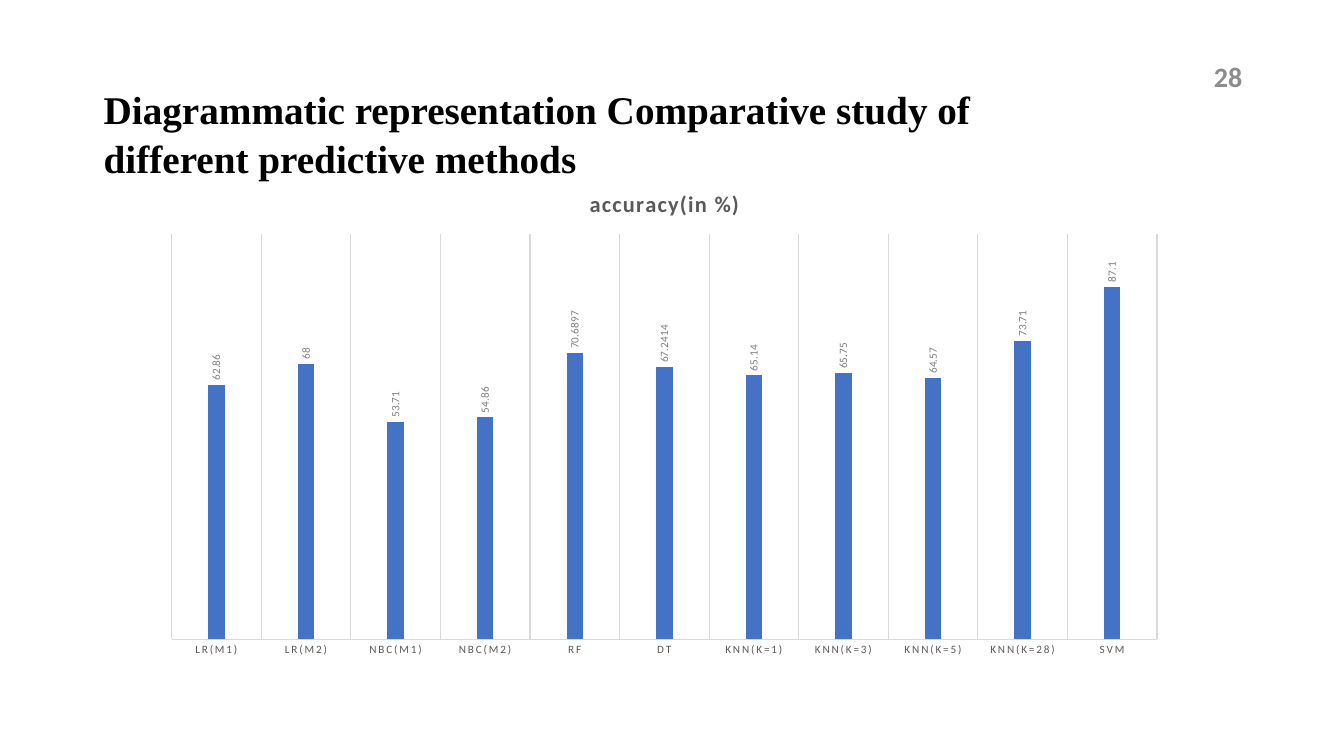
from dataclasses import dataclass

from lxml.etree import SubElement
from pptx import Presentation
from pptx.chart.data import CategoryChartData
from pptx.dml.color import RGBColor
from pptx.enum.chart import XL_CHART_TYPE as ChartType, XL_LABEL_POSITION as LabelPos
from pptx.enum.chart import XL_TICK_MARK as TickMark
from pptx.enum.text import MSO_ANCHOR as Anchor, MSO_AUTO_SIZE as AutoSize, PP_ALIGN as Align
from pptx.oxml.ns import qn
from pptx.util import Inches, Pt

WIDTH, HEIGHT = Inches(13.33), Inches(7.5)
SANS, SERIF = "Calibri", "Times New Roman"
BLACK, DARK, MID, PALE, RULE, BLUE = "000000", "595959", "808080", "8C8C8C", "D9D9D9", "4472C4"

SERIES_NAME = "accuracy(in %)"
ACCURACY = {
    "LR(M1)": 62.86, "LR(M2)": 68, "NBC(M1)": 53.71, "NBC(M2)": 54.86,
    "RF": 70.6897, "DT": 67.2414, "KNN(K=1)": 65.14, "KNN(K=3)": 65.75,
    "KNN(K=5)": 64.57, "KNN(K=28)": 73.71, "SVM": 87.1,
}


@dataclass
class Box:
    """Left, top, width and height as percentages of the slide."""
    x: float
    y: float
    w: float
    h: float

    def emu(self) -> list[int]:
        sides = ((self.x, WIDTH), (self.y, HEIGHT), (self.w, WIDTH), (self.h, HEIGHT))
        return [round(share * side / 100) for share, side in sides]


@dataclass
class Label:
    text: str
    box: Box
    size: int
    font: str
    color: str
    align: Align = Align.LEFT
    anchor: Anchor = Anchor.TOP
    fit: AutoSize = AutoSize.NONE
    spacing: float = 1.0


LABELS = [
    Label("Diagrammatic representation Comparative study of different predictive methods",
          Box(6.98, 10.27, 71.42, 13.87), 28, SERIF, BLACK,
          fit=AutoSize.SHAPE_TO_FIT_TEXT, spacing=1.05),
    Label("28", Box(70.67, 7.2, 22.51, 5.73), 20, SANS, PALE, Align.RIGHT, Anchor.MIDDLE),
]
CHART_BOX = Box(11.25, 22.4, 76.37, 66.13)
PLOT_SHARES = {"x": 0.02, "y": 0.13, "w": 0.96, "h": 0.81}


def rgb(color: str) -> RGBColor:
    return RGBColor.from_string(color)


def style_font(font, size: int, color: str, name: str = SANS, bold: bool = False) -> None:
    font.size, font.name, font.bold = Pt(size), name, bold
    font.color.rgb = rgb(color)


def style_line(line) -> None:
    line.color.rgb = rgb(RULE)
    line.width = Pt(0.75)


def add_label(slide, label: Label) -> None:
    s = slide.shapes.add_textbox(*label.box.emu())
    tf = s.text_frame
    tf.word_wrap = True
    tf.auto_size = label.fit
    tf.vertical_anchor = label.anchor
    p = tf.paragraphs[0]
    p.alignment = label.align
    p.line_spacing = label.spacing
    r = p.add_run()
    r.text = label.text
    style_font(r.font, label.size, label.color, label.font, bold=True)


def place_plot(chart) -> None:
    """Fix the inner plot area as shares of the chart."""
    area = chart.plots[0]._element.getparent()
    layout = area.find(qn("c:layout"))
    if layout is None:
        layout = SubElement(area, qn("c:layout"))
        area.insert(0, layout)
    manual = SubElement(layout, qn("c:manualLayout"))
    settings = {"layoutTarget": "inner", "xMode": "edge", "yMode": "edge", **PLOT_SHARES}
    for tag, value in settings.items():
        SubElement(manual, qn(f"c:{tag}")).set("val", str(value))


def add_accuracy_chart(slide) -> None:
    data = CategoryChartData()
    data.categories = list(ACCURACY)
    data.add_series(SERIES_NAME, list(ACCURACY.values()))
    chart = slide.shapes.add_chart(ChartType.COLUMN_CLUSTERED, *CHART_BOX.emu(), data).chart
    chart.has_legend = False
    style_font(chart.font, 10, BLACK)

    # Chart title
    chart.has_title = True
    p = chart.chart_title.text_frame.paragraphs[0]
    r = p.add_run()
    r.text = SERIES_NAME
    style_font(r.font, 16, DARK, bold=True)
    r.font._element.set("spc", "100")
    chart.chart_title.include_in_layout = False

    # Axes
    cat = chart.category_axis
    cat.major_tick_mark = cat.minor_tick_mark = TickMark.NONE
    cat.has_major_gridlines = True
    style_line(cat.major_gridlines.format.line)
    style_line(cat.format.line)
    style_font(cat.tick_labels.font, 8, DARK)
    cat.tick_labels.font._element.set("spc", "120")
    val = chart.value_axis
    val.minimum_scale, val.maximum_scale = 0, 100
    val.has_major_gridlines = False
    val.visible = False

    # Columns and their upright values
    plot = chart.plots[0]
    plot.gap_width, plot.overlap = 444, -90
    plot.vary_by_categories = False
    series = plot.series[0]
    series.format.fill.solid()
    series.format.fill.fore_color.rgb = rgb(BLUE)
    labels = series.data_labels
    labels.show_value = True
    labels.position = LabelPos.OUTSIDE_END
    style_font(labels.font, 8, MID)
    body = labels._element.find(qn("c:txPr")).find(qn("a:bodyPr"))
    body.set("rot", "-5400000")
    body.set("vert", "horz")
    place_plot(chart)


def main() -> None:
    prs = Presentation()
    prs.slide_width, prs.slide_height = WIDTH, HEIGHT
    slide = prs.slides.add_slide(prs.slide_layouts[6])
    add_accuracy_chart(slide)
    for label in LABELS:
        add_label(slide, label)
    prs.save("out.pptx")


if __name__ == "__main__":
    main()
